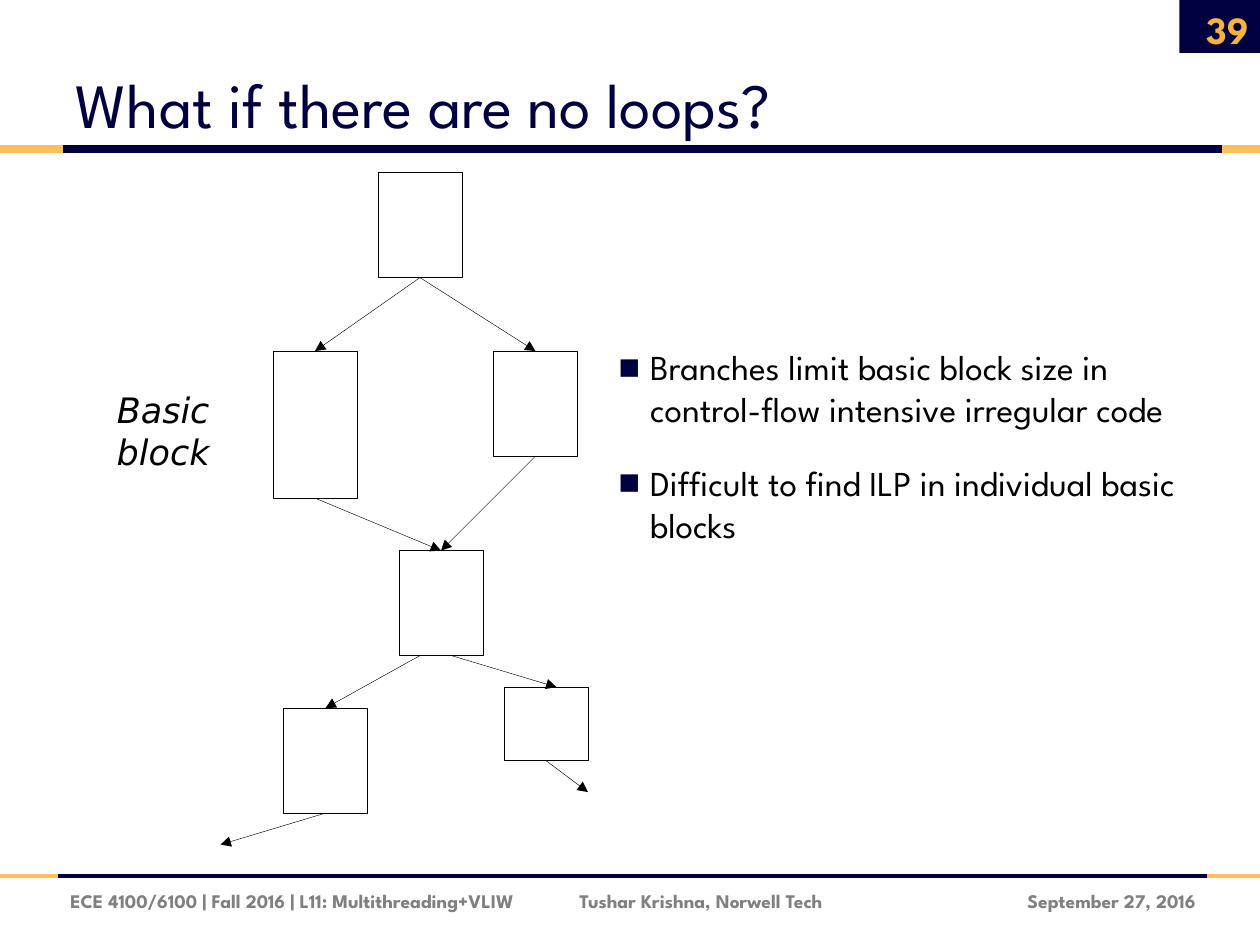
from dataclasses import dataclass

from lxml import etree
from pptx import Presentation
from pptx.dml.color import RGBColor
from pptx.enum.shapes import MSO_CONNECTOR, MSO_SHAPE
from pptx.enum.text import MSO_ANCHOR, MSO_AUTO_SIZE, PP_ALIGN
from pptx.oxml.ns import qn
from pptx.util import Inches, Pt

STRAIGHT = MSO_CONNECTOR.STRAIGHT
RECTANGLE = MSO_SHAPE.RECTANGLE
MIDDLE, BOTTOM = MSO_ANCHOR.MIDDLE, MSO_ANCHOR.BOTTOM
LEFT, CENTER, RIGHT = PP_ALIGN.LEFT, PP_ALIGN.CENTER, PP_ALIGN.RIGHT
NO_AUTOFIT = MSO_AUTO_SIZE.NONE


@dataclass(frozen=True)
class Theme:
    navy: str = "000041"
    gold: str = "FFBE5A"
    number: str = "F8B33C"
    gray: str = "808080"
    black: str = "000000"
    font: str = "League Spartan"
    label_font: str = "DejaVu Sans"
    title_size: int = 36
    number_size: int = 22
    body_size: int = 20
    footer_size: int = 11
    thin: float = 0.25


@dataclass(frozen=True)
class Block:
    column: int
    row: int
    rows: int = 10


@dataclass(frozen=True)
class Arrow:
    start: tuple[float, float]
    end: tuple[float, float]


@dataclass(frozen=True)
class Rule:
    y: float
    left: float
    right: float
    weight: float


@dataclass(frozen=True)
class Caption:
    text: str
    box: tuple[float, float, float, float]
    size: int
    color: str
    align: int = LEFT


THEME = Theme()
WIDTH, HEIGHT = 10, 7.5
CELL = 1 / 12
GRID_TOP = 1.37
BLOCK_COLUMNS = 8

RULES = [Rule(6.95, 0.46, 9.58, 2.25), Rule(1.18, 0.5, 9.7, 4.5)]
CAPTIONS = [
    Caption("September 27, 2016", (7.67, 6.95, 1.92, 0.4), THEME.footer_size, THEME.gray, RIGHT),
    Caption("ECE 4100/6100 | Fall 2016 | L11: Multithreading+VLIW", (0.46, 6.95, 4, 0.4),
            THEME.footer_size, THEME.gray),
    Caption("Tushar Krishna, Norwell Tech", (4.5, 6.95, 2.6, 0.4), THEME.footer_size, THEME.gray),
    Caption("39", (9.34, 0.03, 0.67, 0.4), THEME.number_size, THEME.number, RIGHT),
]
BLOCKS = [Block(36, 0), Block(26, 17, 14), Block(47, 17), Block(38, 36), Block(27, 51),
          Block(48, 49, 7)]
ARROWS = [
    Arrow((40, 10), (30, 17)),
    Arrow((40, 10), (51, 17)),
    Arrow((30, 31), (42, 36)),
    Arrow((51, 27), (42, 36)),
    Arrow((40, 46), (31, 51)),
    Arrow((43, 46), (53, 49)),
    Arrow((52, 56), (56, 59)),
    Arrow((31, 61), (21, 64)),
]
BULLETS = [
    "Branches limit basic block size in control-flow intensive irregular code",
    "Difficult to find ILP in individual basic blocks",
]


def rgb(color: str) -> RGBColor:
    return RGBColor.from_string(color)


def grid_point(column: float, row: float) -> tuple[float, float]:
    return column * CELL, GRID_TOP + row * CELL


def place(shape, left: float, top: float, width: float, height: float) -> None:
    shape.left, shape.top = Inches(left), Inches(top)
    shape.width, shape.height = Inches(width), Inches(height)


def style(paragraph, size: int, color: str, font: str = THEME.font, align=LEFT,
          bold: bool = False, italic: bool = False) -> None:
    paragraph.alignment = align
    paragraph.font.name = font
    paragraph.font.size = Pt(size)
    paragraph.font.bold = bold
    paragraph.font.italic = italic
    paragraph.font.color.rgb = rgb(color)


def add_line(slide, start, end, color: str, weight: float, arrow: bool = False) -> None:
    connector = slide.shapes.add_connector(STRAIGHT, *(Inches(value) for value in (*start, *end)))
    connector.line.color.rgb = rgb(color)
    connector.line.width = Pt(weight)
    if arrow:
        etree.SubElement(connector.line._get_or_add_ln(), qn("a:tailEnd"), type="triangle")
    etree.SubElement(connector._element.spPr, qn("a:effectLst"))


def add_rule(slide, rule: Rule) -> None:
    stops = [0, rule.left, rule.right, WIDTH]
    colors = [THEME.gold, THEME.navy, THEME.gold]
    for left, right, color in zip(stops, stops[1:], colors):
        add_line(slide, (left, rule.y), (right, rule.y), color, rule.weight)


def add_rectangle(slide, left: float, top: float, width: float, height: float):
    shape = slide.shapes.add_shape(
        RECTANGLE, *(Inches(value) for value in (left, top, width, height)))
    shape.shadow.inherit = False
    return shape


def add_block(slide, block: Block) -> None:
    shape = add_rectangle(slide, *grid_point(block.column, block.row),
                          BLOCK_COLUMNS * CELL, block.rows * CELL)
    shape.fill.background()
    shape.line.color.rgb = rgb(THEME.black)
    shape.line.width = Pt(THEME.thin)


def add_text(slide, text: str, box: tuple[float, float, float, float]):
    frame = slide.shapes.add_textbox(*(Inches(value) for value in box)).text_frame
    frame.word_wrap = True
    frame.vertical_anchor = MIDDLE
    frame.text = text
    return frame


def add_caption(slide, caption: Caption) -> None:
    frame = add_text(slide, caption.text, caption.box)
    style(frame.paragraphs[0], caption.size, caption.color, align=caption.align, bold=True)


def add_bullet(paragraph) -> None:
    properties = paragraph._p.get_or_add_pPr()
    properties.set("marL", str(Inches(0.25)))
    properties.set("indent", str(Inches(-0.25)))
    color = etree.Element(qn("a:buClr"))
    etree.SubElement(color, qn("a:srgbClr"), val=THEME.navy)
    size = etree.Element(qn("a:buSzPct"), val="65000")
    font = etree.Element(qn("a:buFont"), typeface=THEME.label_font)
    mark = etree.Element(qn("a:buChar"), char="■")
    defaults = properties.find(qn("a:defRPr"))
    for element in (color, size, font, mark):
        defaults.addprevious(element)


def fill_title(title) -> None:
    place(title, 0.5, 0.17, 8.18, 1)
    frame = title.text_frame
    frame.text = "What if there are no loops?"
    frame.vertical_anchor = BOTTOM
    frame.auto_size = NO_AUTOFIT
    style(frame.paragraphs[0], THEME.title_size, THEME.navy)


def fill_body(body) -> None:
    place(body, 4.81, 2.61, 5.04, 1.85)
    frame = body.text_frame
    frame.text = "\n".join(BULLETS)
    frame.vertical_anchor = MIDDLE
    frame.auto_size = NO_AUTOFIT
    for paragraph in frame.paragraphs:
        paragraph.space_before = Pt(18)
        style(paragraph, THEME.body_size, THEME.black)
        add_bullet(paragraph)


def main() -> None:
    presentation = Presentation()
    presentation.slide_width, presentation.slide_height = Inches(WIDTH), Inches(HEIGHT)
    slide = presentation.slides.add_slide(presentation.slide_layouts[1])
    corner = add_rectangle(slide, 9.36, 0, WIDTH - 9.36, 0.42)
    corner.fill.solid()
    corner.fill.fore_color.rgb = rgb(THEME.navy)
    corner.line.fill.background()
    for rule in RULES:
        add_rule(slide, rule)
    fill_title(slide.shapes.title)
    fill_body(slide.placeholders[1])
    for caption in CAPTIONS:
        add_caption(slide, caption)
    for block in BLOCKS:
        add_block(slide, block)
    for arrow in ARROWS:
        add_line(slide, grid_point(*arrow.start), grid_point(*arrow.end),
                 THEME.black, THEME.thin, arrow=True)
    label = add_text(slide, "Basic block", (0.42, 3.2, 1.75, 0.43))
    label.margin_left = label.margin_right = Inches(0.2)
    style(label.paragraphs[0], THEME.body_size, THEME.black, THEME.label_font, CENTER, italic=True)
    presentation.save("out.pptx")


if __name__ == "__main__":
    main()
